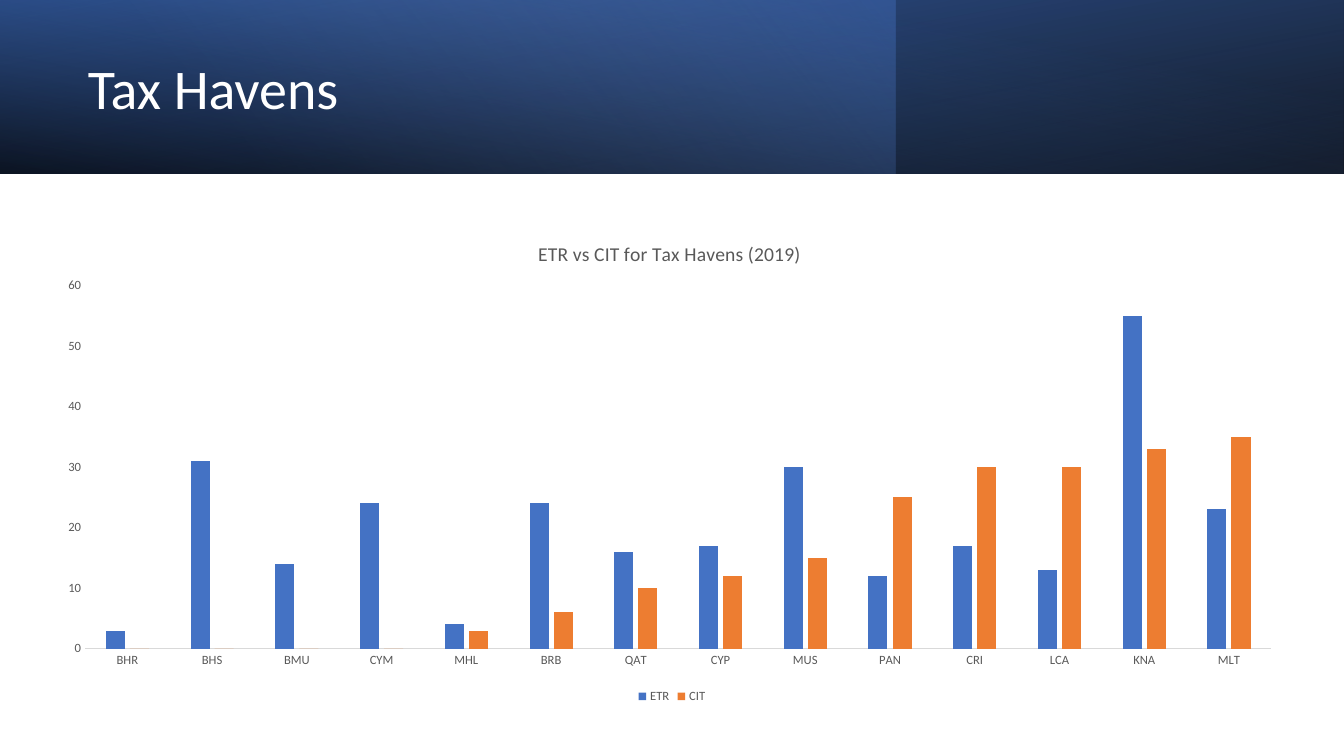
from lxml import etree
from pptx import Presentation
from pptx.chart.data import CategoryChartData
from pptx.dml.color import RGBColor
from pptx.enum.chart import XL_CHART_TYPE, XL_LEGEND_POSITION, XL_TICK_MARK
from pptx.enum.shapes import MSO_SHAPE
from pptx.enum.text import MSO_ANCHOR, PP_ALIGN
from pptx.oxml import parse_xml
from pptx.oxml.ns import nsdecls, qn
from pptx.util import Pt

CLUSTERED = XL_CHART_TYPE.COLUMN_CLUSTERED
BOTTOM = XL_LEGEND_POSITION.BOTTOM
NO_TICK = XL_TICK_MARK.NONE
RECTANGLE = MSO_SHAPE.RECTANGLE
MIDDLE = MSO_ANCHOR.MIDDLE
LEFT = PP_ALIGN.LEFT
FONT = "Calibri"
GRAY = "595959"


def style_font(font, size, color):
    font.name = FONT
    font.size = Pt(size)
    font.bold = False
    font.color.rgb = RGBColor.from_string(color)


def place_chart_part(part, index, settings):
    for old_layout in part.findall(qn("c:layout")):
        part.remove(old_layout)
    layout = parse_xml(f'<c:layout {nsdecls("c")}><c:manualLayout/></c:layout>')
    for tag, value in settings.items():
        etree.SubElement(layout[0], qn(f"c:{tag}")).set("val", str(value))
    part.insert(index, layout)


presentation = Presentation()
presentation.slide_width = Pt(960)
presentation.slide_height = Pt(540)
slide = presentation.slides.add_slide(presentation.slide_layouts[5])

BANNER_LAYERS = [
    (960, 180, True, 100, [(0, "000000", 96), (100, "2F5597", 100)]),
    (640, 0, False, 140, [(0, "4472C4", 41), (74, "8FAADC", 0)]),
    (960, 0, True, 260, [(0, "000000", 63), (78, "4472C4", 15)]),
]
for width, rotation, flipped, angle, stops in BANNER_LAYERS:
    layer = slide.shapes.add_shape(RECTANGLE, 0, 0, Pt(width), Pt(124))
    layer.shadow.inherit = False
    layer.line.fill.background()
    layer.rotation = rotation
    properties = layer._element.spPr
    if flipped:
        properties.find(qn("a:xfrm")).set("flipH", "1")
    stop_xml = "".join(
        f'<a:gs pos="{position * 1000}"><a:srgbClr val="{color}">'
        f'<a:alpha val="{alpha * 1000}"/></a:srgbClr></a:gs>'
        for position, color, alpha in stops
    )
    gradient = parse_xml(
        f'<a:gradFill {nsdecls("a")} rotWithShape="1"><a:gsLst>{stop_xml}</a:gsLst>'
        f'<a:lin ang="{angle * 60000}" scaled="0"/></a:gradFill>'
    )
    properties.find(qn("a:prstGeom")).addnext(gradient)

title = slide.shapes.title
slide.shapes._spTree.append(title._element)
title.left, title.top, title.width, title.height = Pt(55.5), Pt(19.5), Pt(556), Pt(91.5)
title.text_frame.text = "Tax Havens"
title.text_frame.vertical_anchor = MIDDLE
paragraph = title.text_frame.paragraphs[0]
paragraph.alignment = LEFT
paragraph.line_spacing = 0.9
style_font(paragraph.runs[0].font, 40, "FFFFFF")

chart_data = CategoryChartData()
chart_data.categories = [
    "BHR", "BHS", "BMU", "CYM", "MHL", "BRB", "QAT",
    "CYP", "MUS", "PAN", "CRI", "LCA", "KNA", "MLT",
]
chart_data.add_series("ETR", [3, 31, 14, 24, 4, 24, 16, 17, 30, 12, 17, 13, 55, 23])
chart_data.add_series("CIT", [0, 0, 0, 0, 3, 6, 10, 12, 15, 25, 30, 30, 33, 35])
chart = slide.shapes.add_chart(
    CLUSTERED, Pt(34), Pt(155), Pt(892), Pt(350.5), chart_data
).chart
style_font(chart.font, 10, "000000")

chart.has_title = True
chart_title = chart.chart_title
chart_title.text_frame.text = "ETR vs CIT for Tax Havens (2019)"
style_font(chart_title.text_frame.paragraphs[0].runs[0].font, 14, GRAY)
place_chart_part(
    chart_title._element, 1, {"xMode": "edge", "yMode": "edge", "x": 0.39, "y": 0.04}
)

chart.has_legend = True
chart.legend.position = BOTTOM
chart.legend.include_in_layout = False
style_font(chart.legend.font, 9, GRAY)

for axis in (chart.category_axis, chart.value_axis):
    axis.has_major_gridlines = False
    axis.major_tick_mark = NO_TICK
    axis.minor_tick_mark = NO_TICK
    style_font(axis.tick_labels.font, 9, GRAY)
chart.category_axis.format.line.color.rgb = RGBColor.from_string("D9D9D9")
chart.category_axis.format.line.width = Pt(0.75)
chart.value_axis.format.line.fill.background()
chart.value_axis.minimum_scale = 0
chart.value_axis.maximum_scale = 60
chart.value_axis.major_unit = 10

plot = chart.plots[0]
plot.gap_width = 219
plot.overlap = -27
plot.vary_by_categories = False
for series, color in zip(plot.series, ("4472C4", "ED7D31")):
    series.format.fill.solid()
    series.format.fill.fore_color.rgb = RGBColor.from_string(color)
place_chart_part(
    chart._chartSpace.chart.plotArea,
    0,
    {
        "layoutTarget": "inner", "xMode": "edge", "yMode": "edge",
        "x": 0.03, "y": 0.14, "w": 0.95, "h": 0.74,
    },
)

presentation.save("out.pptx")
